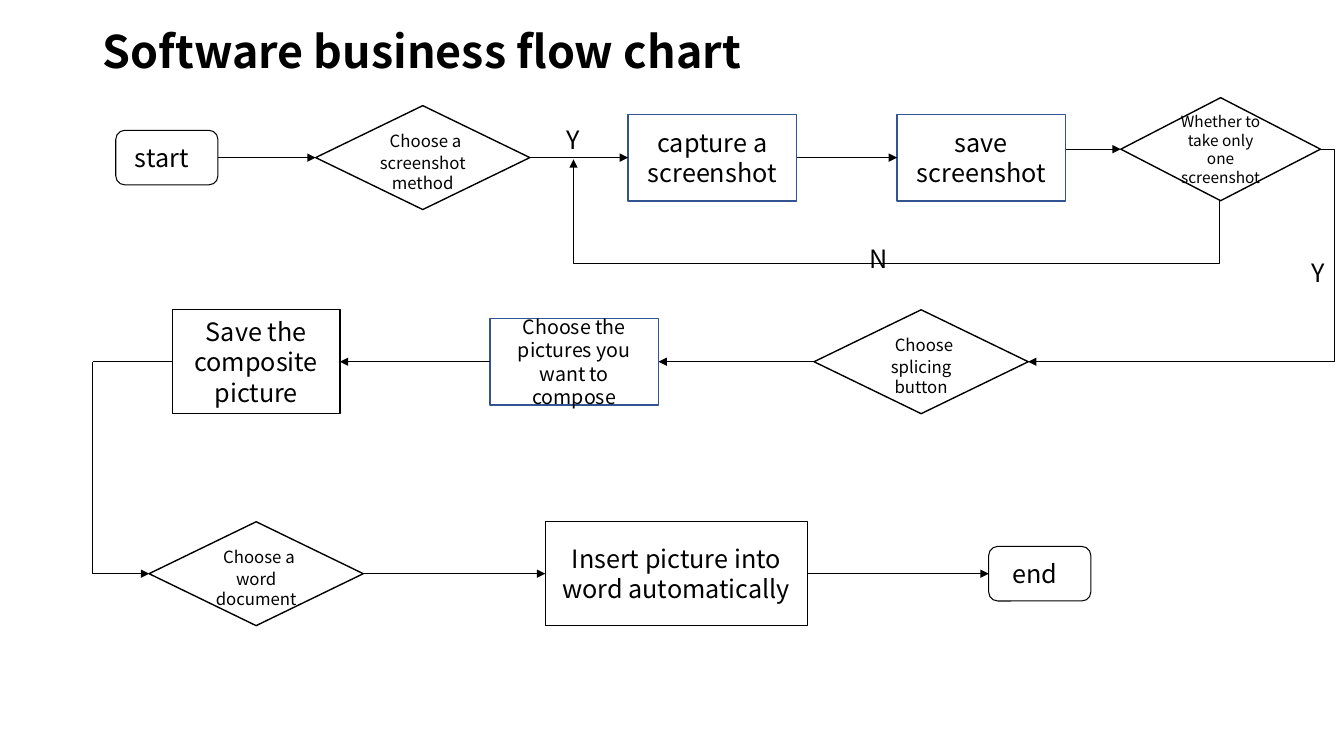
"""Build the software business flow chart slide."""
from lxml.etree import SubElement
from pptx import Presentation
from pptx.dml.color import RGBColor
from pptx.enum.shapes import MSO_CONNECTOR as CONN, MSO_SHAPE as SHAPE
from pptx.enum.text import MSO_ANCHOR as ANCHOR, MSO_AUTO_SIZE as FIT, PP_ALIGN as ALIGN
from pptx.oxml.ns import qn
from pptx.util import Pt

FONT = "Noto Sans CJK SC"
BLACK, BLUE = "000000", "325491"
TITLE = "Software business flow chart"
ROW1, ROW2, ROW3, CHECK_Y = 112.6, 258.4, 409.8, 106.6
TOP, LEFT, BOTTOM, RIGHT = range(4)

KINDS = {
    "terminal": (SHAPE.ROUNDED_RECTANGLE, 73, 39, BLACK, 0.75),
    "choice": (SHAPE.DIAMOND, 153, 74.2, BLACK, 1),
    "check": (SHAPE.DIAMOND, 142.6, 73.6, BLACK, 1),
    "step": (SHAPE.RECTANGLE, 120.4, 62, BLUE, 1),
    "result": (SHAPE.RECTANGLE, 119.6, 74.2, BLACK, 1),
    "wide": (SHAPE.RECTANGLE, 187.2, 74.2, BLACK, 1),
}
NODES = {
    "start": ("terminal", 119.2, ROW1, [("start", 18)]),
    "method": ("choice", 302, ROW1, [(" ", 18), ("Choose a screenshot method", 12)]),
    "capture": ("step", 508.8, ROW1, [("capture a screenshot", 18)]),
    "save": ("step", 701, ROW1, [("save screenshot", 18)]),
    "single": ("check", 871.9, CHECK_Y, [("Whether to take only one screenshot", 11)]),
    "splice": ("choice", 658, ROW2, [(" ", 18), ("Choose splicing button", 12)]),
    "compose": ("step", 410.2, ROW2, [("Choose the pictures you want to compose", 14)]),
    "composite": ("result", 183, ROW2, [("Save the composite picture", 18)]),
    "document": ("choice", 183, ROW3, [(" ", 18), ("Choose a word document", 12)]),
    "insert": ("wide", 483.1, ROW3, [("Insert picture into word automatically", 18)]),
    "end": ("terminal", 742.7, ROW3, [("end", 18)]),
}
ARROWS = [
    ("start", RIGHT, "method", LEFT),
    ("method", RIGHT, "capture", LEFT),
    ("capture", RIGHT, "save", LEFT),
    ("splice", LEFT, "compose", RIGHT),
    ("compose", LEFT, "composite", RIGHT),
    ("document", RIGHT, "insert", LEFT),
    ("insert", RIGHT, "end", LEFT),
]
ELBOWS = [
    ("bentConnector4", 625.7, -102.2, 29.5, 461.5, 90, [-151300, 100000]),
    ("bentConnector3", 734.4, CHECK_Y, 208.4, 151.8, 0, [-5100]),
    ("bentConnector2", 10.7, 313.9, 151.4, 40.4, 270, []),
]
LABELS = [("Y", 397.4, 85), ("N", 614.2, 170.6), ("Y", 929.5, 180)]
SIDE_X = 66.2


def color(value):
    return RGBColor.from_string(value)


def add_run(p, text, size, bold=False):
    r = p.add_run()
    r.text = text
    r.font.name, r.font.size, r.font.bold = FONT, Pt(size), bold
    r.font.color.rgb = color(BLACK)


def add_node(s, kind, cx, cy, runs):
    shape, w, h, line, width = KINDS[kind]
    sp = s.shapes.add_shape(shape, Pt(cx - w / 2), Pt(cy - h / 2), Pt(w), Pt(h))
    sp.shadow.inherit = False
    sp.fill.background()
    sp.line.color.rgb, sp.line.width = color(line), Pt(width)
    tf = sp.text_frame
    tf.word_wrap, tf.vertical_anchor = True, ANCHOR.MIDDLE
    if kind == "terminal":
        tf.margin_right = Pt(14.4)
    p = tf.paragraphs[0]
    p.alignment = ALIGN.CENTER
    for text, size in runs:
        add_run(p, text, size)
    return sp


def add_line(s, x1=0, y1=0, x2=0, y2=0, kind=CONN.STRAIGHT, arrow=True):
    cxn = s.shapes.add_connector(kind, Pt(x1), Pt(y1), Pt(x2), Pt(y2))
    cxn.line.color.rgb, cxn.line.width = color(BLACK), Pt(0.5)
    if arrow:
        SubElement(cxn.line._get_or_add_ln(), qn("a:tailEnd"), type="triangle")
    SubElement(cxn._element.spPr, qn("a:effectLst"))
    return cxn


def add_elbow(s, preset, x, y, w, h, turn, adjusts):
    cxn = add_line(s, x + w, y, x, y + h, CONN.ELBOW)
    spPr = cxn._element.spPr
    spPr.find(qn("a:xfrm")).set("rot", str(turn * 60000))
    geom = spPr.find(qn("a:prstGeom"))
    geom.set("prst", preset)
    guides = geom.find(qn("a:avLst"))
    for i, value in enumerate(adjusts, 1):
        SubElement(guides, qn("a:gd"), name=f"adj{i}", fmla=f"val {value}")


def add_label(s, text, x, y):
    tf = s.shapes.add_textbox(Pt(x), Pt(y), Pt(26.6), Pt(29)).text_frame
    tf.word_wrap, tf.auto_size = True, FIT.SHAPE_TO_FIT_TEXT
    add_run(tf.paragraphs[0], text, 18)


def add_title(s):
    title = s.shapes.title
    title.left, title.top, title.width, title.height = Pt(66.2), Pt(10.8), Pt(828), Pt(56.2)
    tf = title.text_frame
    tf.vertical_anchor, tf.auto_size = ANCHOR.MIDDLE, FIT.NONE
    p = tf.paragraphs[0]
    p.alignment, p.line_spacing = ALIGN.LEFT, 0.9
    add_run(p, TITLE, 32, bold=True)


def main():
    prs = Presentation()
    prs.slide_width, prs.slide_height = Pt(960), Pt(540)
    s = prs.slides.add_slide(prs.slide_layouts[5])
    add_title(s)
    nodes = {name: add_node(s, *node) for name, node in NODES.items()}
    for source, out_side, target, in_side in ARROWS:
        cxn = add_line(s)
        cxn.begin_connect(nodes[source], out_side)
        cxn.end_connect(nodes[target], in_side)
    save_right = NODES["save"][1] + KINDS["step"][1] / 2
    add_line(s, save_right, CHECK_Y).end_connect(nodes["single"], LEFT)
    add_line(s, SIDE_X, ROW2, arrow=False).end_connect(nodes["composite"], LEFT)
    for elbow in ELBOWS:
        add_elbow(s, *elbow)
    for label in LABELS:
        add_label(s, *label)
    prs.save("out.pptx")


if __name__ == "__main__":
    main()
